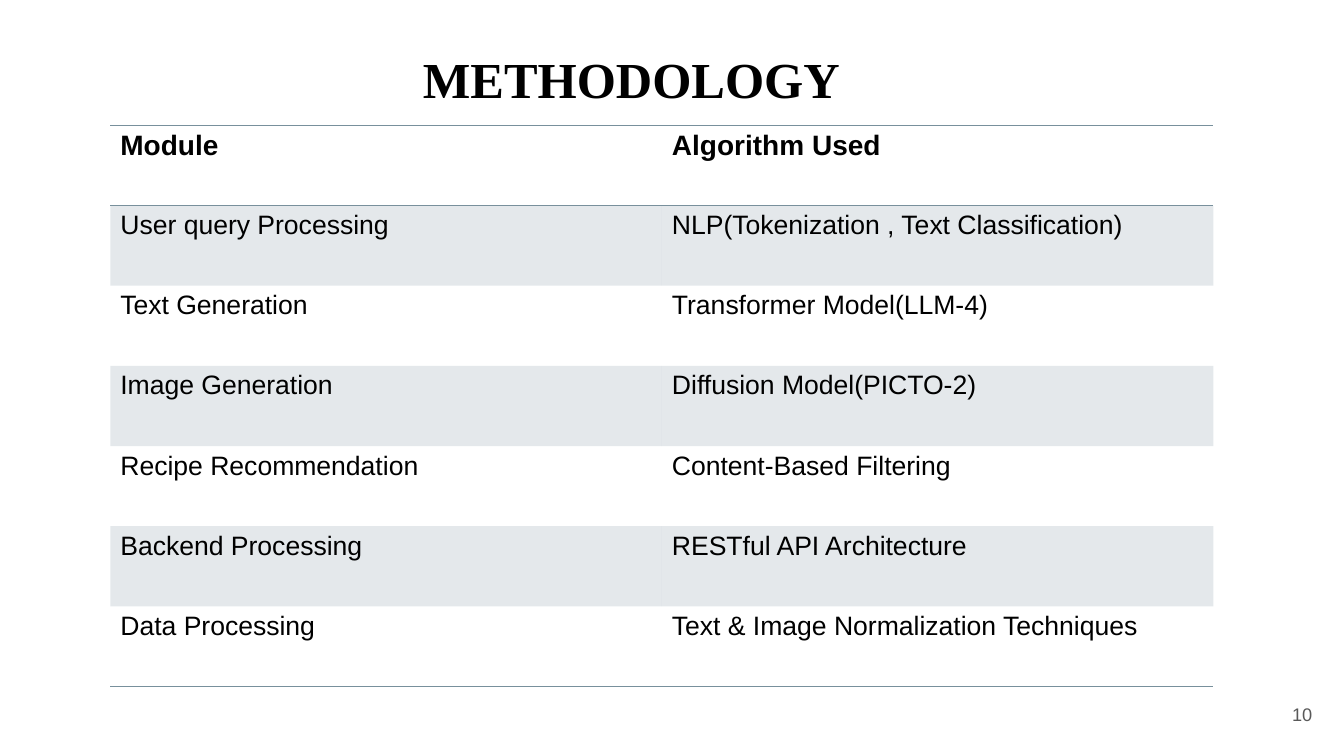
from lxml.etree import SubElement
from pptx import Presentation
from pptx.dml.color import RGBColor
from pptx.enum.text import MSO_ANCHOR, PP_ALIGN
from pptx.oxml.ns import qn
from pptx.util import Cm, Pt

BLACK = RGBColor(0x00, 0x00, 0x00)
GREY = RGBColor(0x59, 0x59, 0x59)
SLATE = RGBColor(0x78, 0x90, 0x9C)

TITLE = {"name": "Times New Roman", "size": Pt(36), "bold": True}
HEADING = {"name": "Arial", "size": Pt(20), "bold": True}
BODY = {"name": "Arial", "size": Pt(19), "bold": False}
PAGE_NUMBER = {"name": "Arial", "size": Pt(13), "bold": False}

NO_STYLE_NO_GRID = "{2D5ABB26-0587-4C30-8999-92F81FD0307C}"
ROW_HEIGHT = 2.02
MODULES = [
    ("Module", "Algorithm Used"),
    ("User query Processing", "NLP(Tokenization , Text Classification)"),
    ("Text Generation", "Transformer Model(LLM-4)"),
    ("Image Generation", "Diffusion Model(PICTO-2)"),
    ("Recipe Recommendation", "Content-Based Filtering"),
    ("Backend Processing", "RESTful API Architecture"),
    ("Data Processing", "Text & Image Normalization Techniques"),
]


class SlideBuilder:
    """Hold the style and the current slide, and add its elements."""

    def __init__(self, slide):
        self.slide = slide
        self.accent = SLATE
        self.inset = 0.33

    def add_text(self, text_frame, text, style, color=BLACK):
        paragraph = text_frame.paragraphs[0]
        run = paragraph.add_run()
        run.text = text
        for name, value in style.items():
            setattr(run.font, name, value)
        run.font.color.rgb = color
        return paragraph

    def text_box(self, text, box, style, color=BLACK, align=PP_ALIGN.LEFT, **frame_format):
        shape = self.slide.shapes.add_textbox(*(Cm(length) for length in box))
        text_frame = shape.text_frame
        margins = ("margin_left", "margin_top", "margin_right", "margin_bottom")
        settings = {"word_wrap": True, **dict.fromkeys(margins, Cm(self.inset)), **frame_format}
        for name, value in settings.items():
            setattr(text_frame, name, value)
        self.add_text(text_frame, text, style, color).alignment = align

    def border(self, cell, side):
        line = SubElement(cell._tc.get_or_add_tcPr(), qn(f"a:{side}"), w=str(Pt(1)))
        fill = SubElement(line, qn("a:solidFill"))
        SubElement(fill, qn("a:srgbClr"), val=str(self.accent))

    def shade(self, cell, shaded):
        if not shaded:
            cell.fill.background()
            return
        cell.fill.solid()
        cell.fill.fore_color.rgb = self.accent
        color = cell._tc.tcPr.find(f"{qn('a:solidFill')}/{qn('a:srgbClr')}")
        SubElement(color, qn("a:alpha"), val="20000")

    def table(self, rows, left, top, width, row_height):
        lengths = (left, top, width, row_height * len(rows))
        frame = self.slide.shapes.add_table(len(rows), len(rows[0]), *(Cm(n) for n in lengths))
        table = frame.table
        table.horz_banding = False
        frame._element.find(f".//{qn('a:tableStyleId')}").text = NO_STYLE_NO_GRID
        borders = {0: ("lnT", "lnB"), len(rows) - 1: ("lnB",)}
        for row_index, row in enumerate(rows):
            for column_index, text in enumerate(row):
                cell = table.cell(row_index, column_index)
                self.add_text(cell.text_frame, text, BODY if row_index else HEADING)
                for side in borders.get(row_index, ()):
                    self.border(cell, side)
                self.shade(cell, row_index % 2 == 1)


def main():
    presentation = Presentation()
    presentation.slide_width = Cm(33.87)
    presentation.slide_height = Cm(19.05)
    builder = SlideBuilder(presentation.slides.add_slide(presentation.slide_layouts[6]))
    builder.text_box("METHODOLOGY", (1.14, 0.71, 31.55, 2.11), TITLE,
                     margin_left=Cm(9.52), margin_top=Cm(0.5))
    builder.text_box("10", (31.37, 17.27, 2.03, 1.45), PAGE_NUMBER, GREY,
                     PP_ALIGN.RIGHT, vertical_anchor=MSO_ANCHOR.MIDDLE)
    builder.table(MODULES, 2.78, 3.16, 27.8, ROW_HEIGHT)
    presentation.save("out.pptx")


if __name__ == "__main__":
    main()
